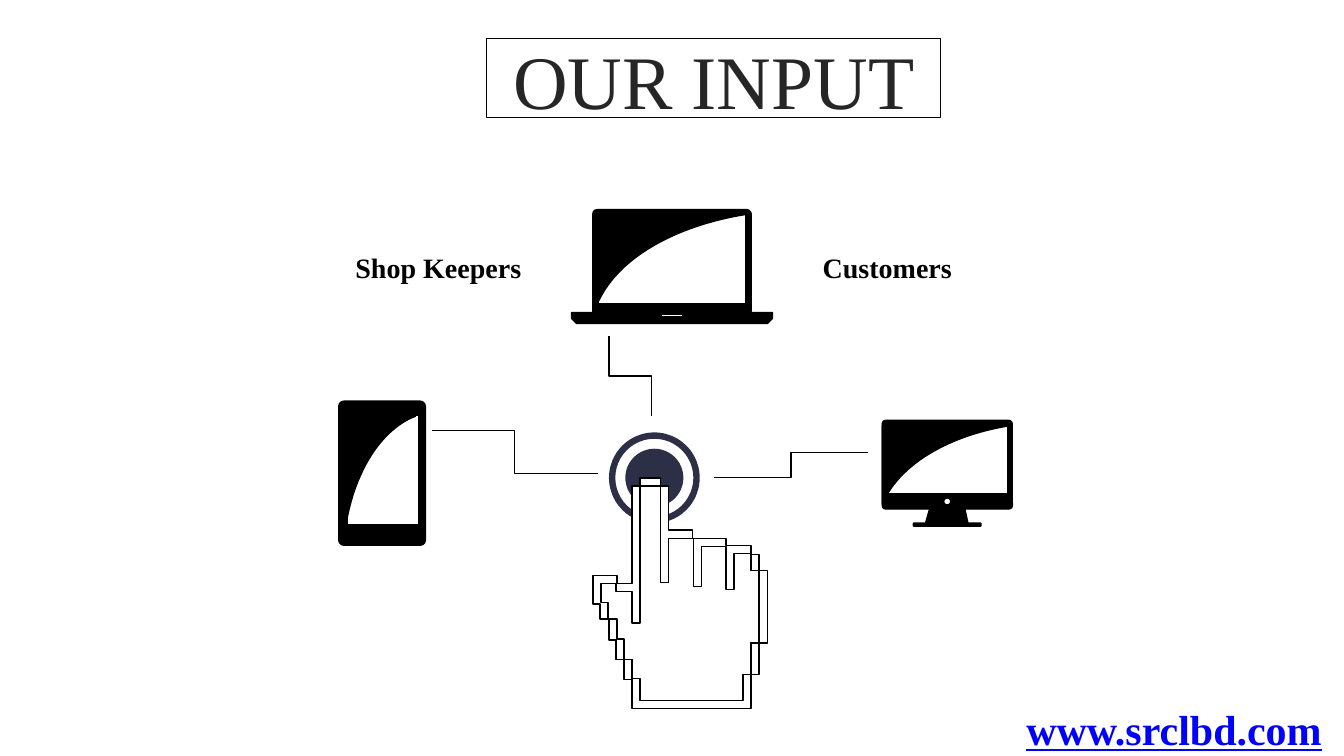
from lxml import etree
from pptx import Presentation
from pptx.dml.color import RGBColor
from pptx.enum.shapes import MSO_CONNECTOR, MSO_SHAPE
from pptx.enum.text import MSO_ANCHOR, MSO_AUTO_SIZE, PP_ALIGN
from pptx.oxml.ns import qn
from pptx.util import Inches, Pt

ELBOW = MSO_CONNECTOR.ELBOW
RECT, ROUND = MSO_SHAPE.RECTANGLE, MSO_SHAPE.ROUNDED_RECTANGLE
OVAL, DONUT = MSO_SHAPE.OVAL, MSO_SHAPE.DONUT
MIDDLE, TOP = MSO_ANCHOR.MIDDLE, MSO_ANCHOR.TOP
LEFT, CENTER, RIGHT = PP_ALIGN.LEFT, PP_ALIGN.CENTER, PP_ALIGN.RIGHT
FIXED = MSO_AUTO_SIZE.NONE
FONT = "Times New Roman"
COLORS = {"black": "000000", "white": "FFFFFF", "navy": "2C2F45",
          "title": "262626", "link": "0000FF"}

PALM = [[(47, 8), (67, 104), (75, 60), (100, 104), (107, 66), (132, 104),
         (133, 74), (157, 92), (171, 164), (157, 195), (153, 223), (44, 199),
         (39, 180), (29, 160), (19, 140), (11, 125), (1, 105), (26, 106),
         (36, 108), (44, 104)]]
EDGES = [
    [(157, 164), (165, 195), (157, 229), (39, 199), (47, 221), (149, 195)],
    [(16, 140), (24, 160), (31, 180), (39, 200), (31, 180), (23, 161)],
    [(165, 92), (173, 164)],
    [(157, 76), (165, 92)],
    [(100, 60), (132, 67), (157, 75), (140, 111), (132, 68), (108, 108)],
    [(67, 8), (75, 52), (99, 60), (75, 104)],
    [(39, 8), (47, 144), (39, 113), (23, 105), (8, 124), (15, 140), (7, 125),
     (0, 97), (24, 105)],
    [(47, 0), (67, 8)],
]


def rgb(name):
    """Look up a colour by name."""
    return RGBColor.from_string(COLORS[name])


def paint(shape, fill, line="black"):
    """Fill a shape and give it a thin line, or none."""
    shape.shadow.inherit = False
    shape.fill.solid()
    shape.fill.fore_color.rgb = rgb(fill)
    if line:
        shape.line.color.rgb = rgb(line)
        shape.line.width = Pt(1)
    else:
        shape.line.fill.background()


def block(shapes, kind, x, y, w, h, fill="black", line="black", adj=None):
    """Add a preset shape."""
    shape = shapes.add_shape(kind, Inches(x), Inches(y), Inches(w), Inches(h))
    paint(shape, fill, line)
    if adj is not None:
        shape.adjustments[0] = adj


def outline(shapes, x, y, loops, fill="black"):
    """Add closed loops of points, measured from x, y, as one shape."""
    loops = [[(Inches(x + a), Inches(y + b)) for a, b in loop]
             for loop in loops]
    pen = shapes.build_freeform(*loops[0][0], scale=1.0)
    for i, loop in enumerate(loops):
        if i:
            pen.move_to(*loop[0])
        pen.add_line_segments(loop[1:], close=True)
    paint(pen.convert_to_shape(), fill)


def glare(shapes, x, y, w, h, steps=24):
    """Shade the upper left of a screen, bounded by a curve."""
    loop = [(0, 0)]
    for i in range(steps + 1):
        t = i / steps
        u = 1 - t
        loop.append((w * (3 * u * t * (0.16 * u + 0.62 * t) + t ** 3),
                     h * (u ** 3 + 3 * u * t * (0.4 * u + 0.09 * t))))
    outline(shapes, x, y, [loop])


def tablet(slide, x, y):
    """Draw the tablet."""
    parts = slide.shapes.add_group_shape().shapes
    block(parts, ROUND, x, y, 0.86, 1.43, adj=0.06)
    block(parts, RECT, x + 0.08, y + 0.14, 0.71, 1.09, "white")
    glare(parts, x + 0.07, y + 0.15, 0.69, 1.08)


def laptop(slide, x, y):
    """Draw the laptop on its base."""
    parts = slide.shapes.add_group_shape().shapes
    block(parts, ROUND, x + 0.21, y, 1.57, 1.05, adj=0.04)
    block(parts, RECT, x + 0.26, y + 0.05, 1.47, 0.88, "white")
    glare(parts, x + 0.26, y + 0.04, 1.52, 0.88)
    base = [(0, 0), (1.99, 0), (1.99, 0.06), (1.94, 0.11), (0.05, 0.11),
            (0, 0.06)]
    outline(parts, x, y + 1.02, [base])
    block(parts, RECT, x + 0.89, y + 1.04, 0.21, 0.02, "white")


def screen(slide, x, y):
    """Draw the desktop monitor on its stand."""
    parts = slide.shapes.add_group_shape().shapes
    block(parts, ROUND, x, y, 1.29, 0.88, adj=0.04)
    block(parts, RECT, x + 0.05, y + 0.04, 1.19, 0.69, "white")
    glare(parts, x, y + 0.05, 1.29, 0.78)
    block(parts, OVAL, x + 0.61, y + 0.77, 0.07, 0.07, "white")
    stand = [(0.47, 0.88), (0.82, 0.88), (0.85, 1.02), (0.43, 1.02)]
    outline(parts, x, y, [stand])
    block(parts, ROUND, x + 0.31, y + 1.02, 0.67, 0.03, adj=0.2)


def button(slide, x, y, size):
    """Draw the round button with its ring."""
    block(slide.shapes, DONUT, x, y, size, size, "navy", None, 0.07)
    gap = size * 0.18
    core = size - 2 * gap
    block(slide.shapes, OVAL, x + gap, y + gap, core, core, "navy", None)


def hand(slide, x, y):
    """Draw the pointing hand from square corners in hundredths."""
    parts = slide.shapes.add_group_shape().shapes
    for loops in (PALM, EDGES):
        paths = []
        for loop in loops:
            path = []
            for (a, b), (c, _) in zip(loop, loop[1:] + loop[:1]):
                path += [(a / 100, b / 100), (c / 100, b / 100)]
            paths.append(path)
        outline(parts, x, y, paths, "white")


def link(slide, x1, y1, x2, y2, upright=False):
    """Join two points by an elbow, leaving downwards if upright."""
    if upright:
        mx, my = (x1 + x2) / 2, (y1 + y2) / 2
        dx, dy = (y2 - y1) / 2, (x2 - x1) / 2
        x1, y1, x2, y2 = mx - dx, my - dy, mx + dx, my + dy
    wire = slide.shapes.add_connector(
        ELBOW, Inches(x1), Inches(y1), Inches(x2), Inches(y2))
    wire.line.color.rgb = rgb("black")
    wire.line.width = Pt(1)
    props = wire._element.spPr
    etree.SubElement(props, qn("a:effectLst"))
    if upright:
        frame = props.find(qn("a:xfrm"))
        frame.set("rot", "16200000")
        frame.set("flipH", "1")


def style(para, size, color, align, bold=False):
    """Format a paragraph."""
    para.alignment = align
    para.font.name = FONT
    para.font.size = Pt(size)
    para.font.bold = bold
    para.font.color.rgb = rgb(color)


def label(slide, text, x, y, w, h, size=20, color="black", align=LEFT,
          anchor=MIDDLE):
    """Add a bold text box and return its paragraph."""
    box = slide.shapes.add_textbox(Inches(x), Inches(y), Inches(w), Inches(h))
    frame = box.text_frame
    frame.word_wrap = True
    frame.vertical_anchor = anchor
    para = frame.paragraphs[0]
    para.text = text
    style(para, size, color, align, True)
    return para


def title(slide, x, y, w, h):
    """Place the framed title."""
    head = slide.shapes.title
    head.left, head.top = Inches(x), Inches(y)
    head.width, head.height = Inches(w), Inches(h)
    head.line.color.rgb = rgb("black")
    head.line.width = Pt(0.75)
    frame = head.text_frame
    frame.text = "OUR INPUT"
    frame.auto_size = FIXED
    frame.vertical_anchor = MIDDLE
    frame.margin_top = Inches(0.19)
    para = frame.paragraphs[0]
    para.line_spacing = 0.9
    para.space_before = Pt(0)
    style(para, 54, "title", CENTER)


def main():
    """Build the slide."""
    deck = Presentation()
    deck.slide_width, deck.slide_height = Inches(13.33), Inches(7.5)
    slide = deck.slides.add_slide(deck.slide_layouts[5])
    button(slide, 6.04, 4.29, 0.9)
    title(slide, 4.83, 0.38, 4.5, 0.79)
    hand(slide, 5.88, 4.74)
    tablet(slide, 3.36, 3.98)
    laptop(slide, 5.67, 2.08)
    screen(slide, 8.75, 4.17)
    link(slide, 4.28, 4.27, 5.93, 4.7)
    link(slide, 6.04, 3.33, 6.46, 4.13, True)
    link(slide, 7.08, 4.74, 8.61, 4.49)
    label(slide, "Customers", 8.06, 2.43, 1.98, 0.44)
    label(slide, "Shop Keepers", 3.36, 2.43, 1.91, 0.44, align=RIGHT)
    site = label(slide, "www.srclbd.com", 9.98, 6.93, 3.23, 0.61, 30, "link",
                 RIGHT, TOP)
    site.font.underline = True
    deck.save("out.pptx")


if __name__ == "__main__":
    main()
